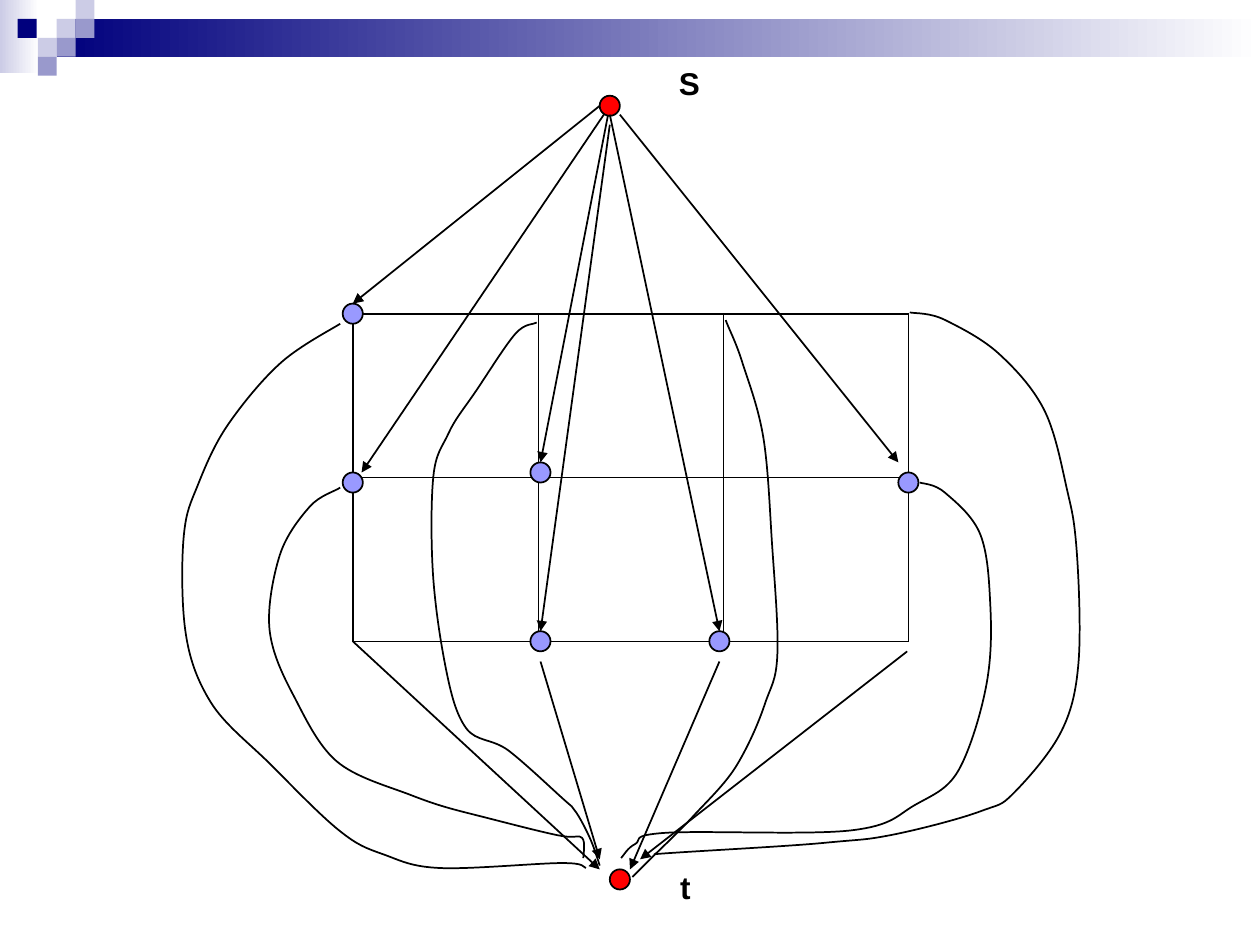
from itertools import product

from lxml import etree
from pptx import Presentation, util as u
from pptx.dml import color
from pptx.enum import shapes, text
from pptx.oxml import ns

SCALE = 9144
COLORS = {
    "black": "000000",
    "white": "FFFFFF",
    "navy": "00007D",
    "pale": "CCCCE6",
    "lavender": "9999CC",
    "node": "9999FF",
    "terminal": "FF0000",
}
NODE = 16
SQUARE = 15


class Canvas:
    font_name = "Arial"
    font_size = 18
    line_width = 1

    def __init__(self, slide):
        self.slide = slide

    def px(self, *lengths):
        return [length * SCALE for length in lengths]

    def rgb(self, name):
        return color.RGBColor.from_string(COLORS[name])

    def outline(self, item):
        item.line.color.rgb = self.rgb("black")
        item.line.width = u.Pt(self.line_width)

    def shape(self, kind, box, fill):
        shape = self.slide.shapes.add_shape(kind, *self.px(*box))
        shape.shadow.inherit = False
        shape.fill.solid()
        shape.fill.fore_color.rgb = self.rgb(fill)
        shape.line.fill.background()
        return shape

    def square(self, left, top, fill):
        self.shape(shapes.MSO_SHAPE.RECTANGLE, (left, top, SQUARE, SQUARE), fill)

    def gradient(self, box, start):
        shape = self.shape(shapes.MSO_SHAPE.RECTANGLE, box, start)
        shape.fill.gradient()
        shape.fill.gradient_angle = 0
        for stop, name in zip(shape.fill.gradient_stops, (start, "white")):
            stop.color.rgb = self.rgb(name)

    def node(self, left, top, fill="node"):
        shape = self.shape(shapes.MSO_SHAPE.OVAL, (left, top, NODE, NODE), fill)
        self.outline(shape)
        return shape

    def arrow(self, *ends):
        connector = self.slide.shapes.add_connector(
            shapes.MSO_CONNECTOR.STRAIGHT, *self.px(*ends))
        self.outline(connector)
        etree.SubElement(connector.line._get_or_add_ln(), ns.qn("a:tailEnd"), type="triangle")
        etree.SubElement(connector._element.spPr, ns.qn("a:effectLst"))
        return connector

    def curve(self, points):
        padded = [points[0], *points, points[-1]]
        bezier_points = []
        for before, start, end, after in zip(padded, padded[1:], padded[2:], padded[3:]):
            bezier_points += [
                tuple(round(s + (e - b) / 6) for b, s, e in zip(before, start, end)),
                tuple(round(e - (a - s) / 6) for s, e, a in zip(start, end, after)),
                end,
            ]
        builder = self.slide.shapes.build_freeform(*points[0], scale=SCALE)
        builder.add_line_segments(bezier_points, close=False)
        shape = builder.convert_to_shape()
        shape.shadow.inherit = False
        shape.fill.background()
        self.outline(shape)
        steps = list(shape._element.iter(ns.qn("a:lnTo")))
        for bezier, control, end in zip(steps[::3], steps[1::3], steps[2::3]):
            bezier.tag = ns.qn("a:cubicBezTo")
            for step in (control, end):
                bezier.append(step[0])
                step.getparent().remove(step)

    def border(self, cell, side, width):
        line = etree.SubElement(cell._tc.get_or_add_tcPr(), ns.qn(f"a:ln{side}"),
                                w=str(u.Pt(width)))
        fill = etree.SubElement(line, ns.qn("a:solidFill"))
        etree.SubElement(fill, ns.qn("a:srgbClr"), val=COLORS["black"])

    def grid(self, rows, columns, box, outer, inner):
        table = self.slide.shapes.add_table(rows, columns, *self.px(*box)).table
        table.first_row = table.horz_banding = False
        for row, column in product(range(rows), range(columns)):
            cell = table.cell(row, column)
            edges = {"L": column == 0, "R": column == columns - 1,
                     "T": row == 0, "B": row == rows - 1}
            for side, is_edge in edges.items():
                self.border(cell, side, outer if is_edge else inner)
            cell.fill.background()

    def label(self, words, box):
        frame = self.slide.shapes.add_textbox(*self.px(*box)).text_frame
        frame.word_wrap = False
        frame.auto_size = text.MSO_AUTO_SIZE.SHAPE_TO_FIT_TEXT
        paragraph = frame.paragraphs[0]
        paragraph.text = words
        paragraph.font.name = self.font_name
        paragraph.font.size = u.Pt(self.font_size)
        paragraph.font.bold = True
        paragraph.font.color.rgb = self.rgb("black")


SQUARES = [(45, 15, "pale"), (60, 0, "pale"), (60, 15, "lavender"), (30, 30, "pale"),
           (14, 15, "navy"), (45, 30, "lavender"), (30, 45, "lavender")]
NODES = {"top left": (272, 241), "middle left": (272, 375), "center": (421, 367),
         "bottom left": (421, 501), "middle right": (713, 375), "bottom right": (563, 501)}
SOURCE_ARROWS = {"top left": (476, 84, 280, 241), "bottom left": (484, 99, 429, 501),
                 "bottom right": (484, 91, 571, 501)}
OTHER_ARROWS = [(492, 91, 713, 367), (429, 525, 476, 682), (571, 525, 500, 690),
                (280, 509, 476, 690), (720, 517, 508, 682)]
CURVES = [
    [(270, 257), (224, 287), (181, 337), (157, 385), (146, 424), (147, 500),
     (167, 557), (215, 607), (269, 659), (304, 678), (350, 689), (446, 685), (465, 689)],
    [(270, 387), (246, 402), (222, 441), (214, 500), (233, 552), (267, 604),
     (326, 631), (374, 646), (443, 663), (462, 665), (463, 681)],
    [(730, 383), (750, 391), (778, 424), (786, 480), (783, 543), (761, 611),
     (726, 639), (676, 659), (528, 661), (504, 670), (493, 681)],
    [(722, 248), (750, 254), (793, 281), (828, 324), (846, 385), (854, 431),
     (856, 525), (841, 583), (804, 630), (778, 644), (706, 663), (654, 669), (519, 678)],
    [(576, 254), (589, 287), (606, 348), (613, 435), (617, 520), (607, 559),
     (585, 607), (550, 648), (517, 681), (502, 696)],
    [(426, 256), (409, 265), (376, 313), (356, 344), (344, 378), (344, 460),
     (354, 531), (370, 578), (404, 596), (448, 635), (456, 643), (469, 667), (476, 687)],
]


def main():
    presentation = Presentation()
    presentation.slide_width, presentation.slide_height = 1000 * SCALE, 750 * SCALE
    canvas = Canvas(presentation.slides.add_slide(presentation.slide_layouts[6]))

    canvas.gradient((0, 0, 31, 58), "pale")
    canvas.gradient((45, 15, 955, 30), "navy")
    for square in SQUARES:
        canvas.square(*square)

    center_arrow = canvas.arrow(484, 84, 429, 367)
    canvas.arrow(484, 84, 287, 375)
    canvas.grid(2, 3, (280, 249, 441, 260), 1.08, 0.45)
    canvas.node(476, 76, "terminal")
    nodes = {name: canvas.node(*place) for name, place in NODES.items()}
    canvas.node(484, 690, "terminal")
    center_arrow.end_connect(nodes["center"], 0)
    for name, ends in SOURCE_ARROWS.items():
        canvas.arrow(*ends).end_connect(nodes[name], 0)
    for ends in OTHER_ARROWS:
        canvas.arrow(*ends)
    for points in CURVES:
        canvas.curve(points)
    canvas.label("S", (529, 46, 36, 40))
    canvas.label("t", (530, 684, 28, 40))
    presentation.save("out.pptx")


if __name__ == "__main__":
    main()
